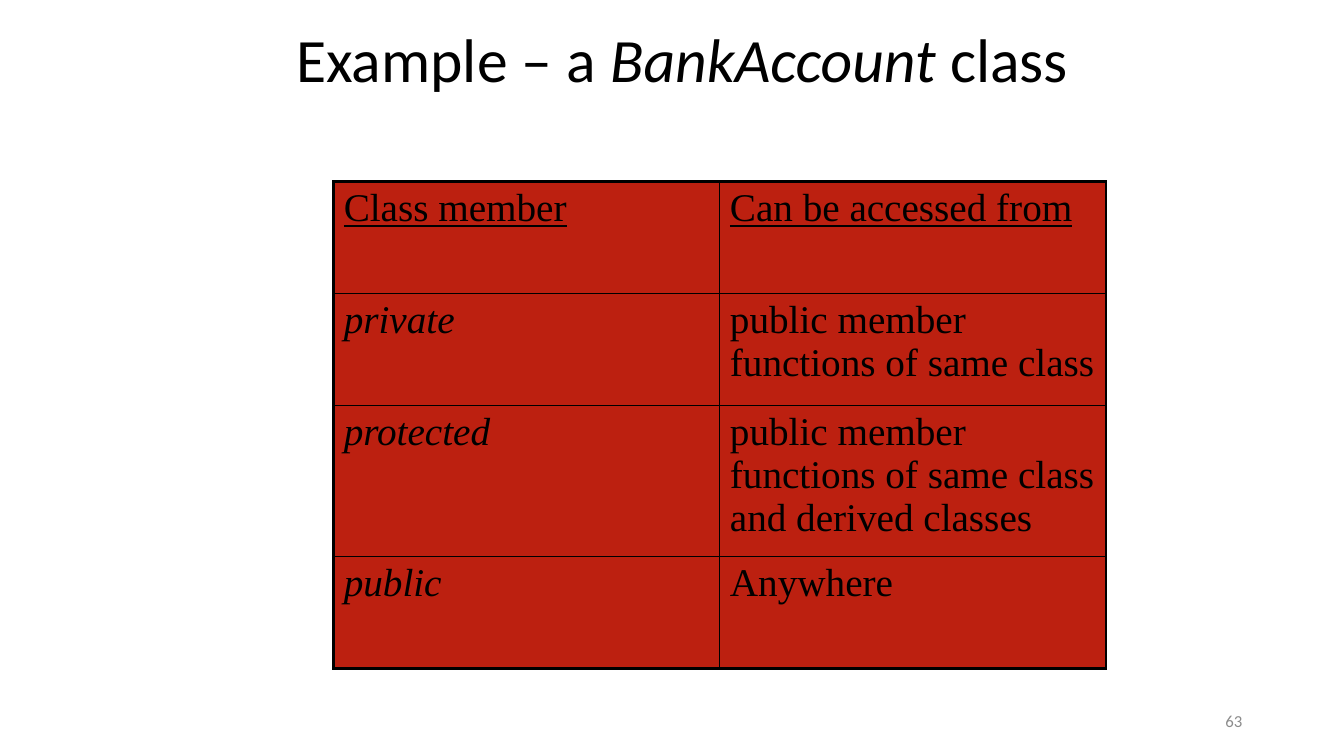
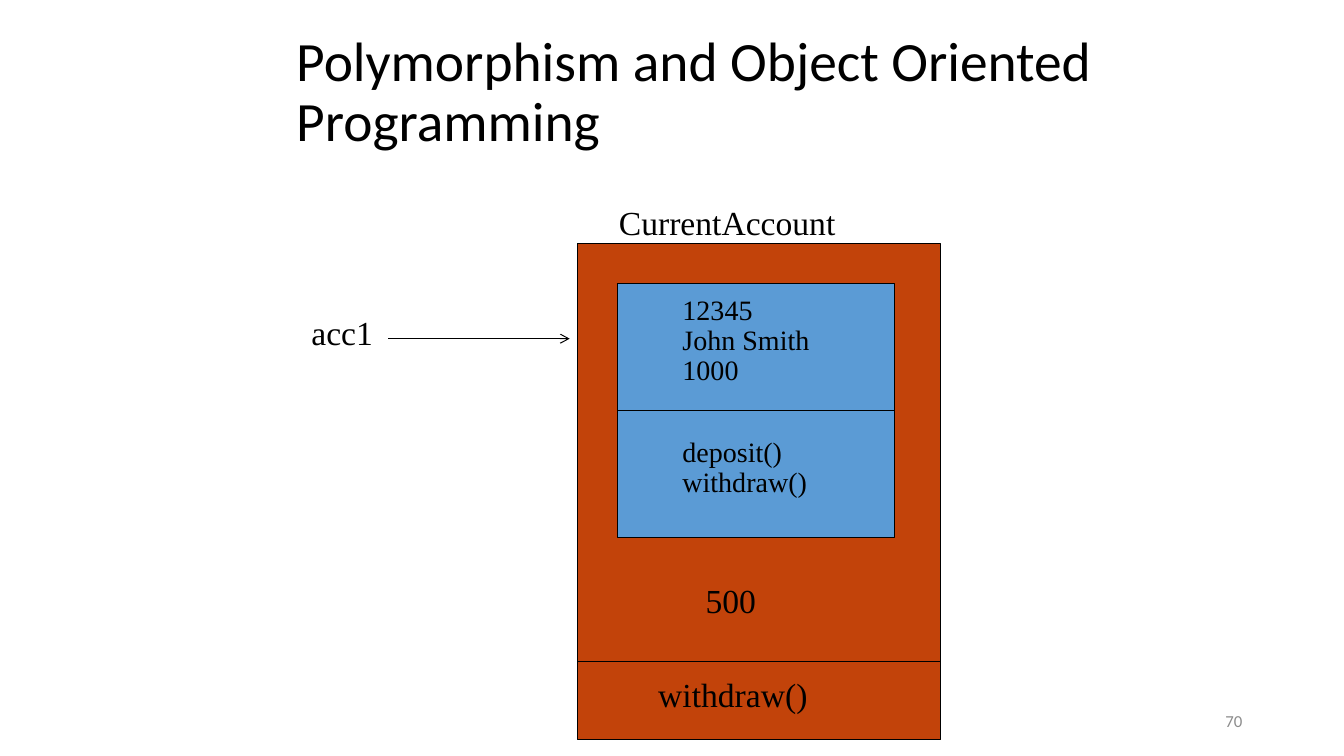
from dataclasses import dataclass

from pptx import Presentation
from pptx.dml.color import RGBColor
from pptx.enum.shapes import MSO_CONNECTOR, MSO_SHAPE
from pptx.enum.text import MSO_ANCHOR, PP_ALIGN
from pptx.oxml.ns import qn
from pptx.util import Inches, Pt
from lxml import etree

RECTANGLE = MSO_SHAPE.RECTANGLE
STRAIGHT = MSO_CONNECTOR.STRAIGHT
TOP, MIDDLE = MSO_ANCHOR.TOP, MSO_ANCHOR.MIDDLE
LEFT_ALIGN, RIGHT_ALIGN = PP_ALIGN.LEFT, PP_ALIGN.RIGHT
LEFT_SIDE, RIGHT_SIDE = 1, 3


@dataclass(frozen=True)
class Theme:
    heading_font: str = "Calibri"
    body_font: str = "Times New Roman"
    ink: str = "000000"
    muted: str = "8C8C8C"
    table_fill: str = "BC2010"
    derived_fill: str = "C2430A"
    base_fill: str = "5B9BD5"
    title_size: float = 44
    long_title_size: float = 39.6
    table_size: float = 28
    label_size: float = 24
    member_size: float = 20
    number_size: float = 12
    thin: float = 0.75
    inner_border: float = 1
    outer_border: float = 2.25


THEME = Theme()

# Runs are (text, style), where style is "", "italic" or "underline"
ACCESS_TITLE = [("Example – a ", ""), ("BankAccount", "italic"), (" class", "")]
ACCESS_ROWS = [
    # height, member, accessed from
    (1.11, ("Class member", "underline"), ("Can be accessed from", "underline")),
    (1.11, ("private", "italic"), ("public member functions of same class", "")),
    (1.39, ("protected", "italic"),
     ("public member functions of same class and derived classes", "")),
    (1.11, ("public", "italic"), ("Anywhere", "")),
]
ACCESS_LEFT, ACCESS_TOP, ACCESS_COLUMN = 3.31, 1.8, 3.83

OBJECT_TITLE = [("Polymorphism and Object Oriented Programming", "")]
DERIVED_BOX = (5.73, 2.42, 3.6, 4.92)
BASE_BOX = (6.12, 2.81, 2.75, 2.52)
DERIVED_DIVIDER = 6.56
OBJECT_LABELS = [
    ("acc1", (2.99, 3.05, 1.75, 0.5)),
    ("CurrentAccount", (6.04, 1.95, 2.92, 0.5)),
    ("500", (6.9, 5.7, 1.02, 0.5)),
    ("withdraw()", (6.43, 6.64, 3.5, 0.5)),
]
BASE_MEMBERS = [
    (["12345", "John Smith", "1000"], (6.67, 2.89, 1.95, 1.01)),
    (["deposit()", "withdraw()"], (6.67, 4.3, 1.95, 0.7)),
]
POINTER = ((3.85, 3.36), (5.65, 3.36))


def color(value):
    return RGBColor.from_string(value)


def add_run(paragraph, text, size, font=THEME.body_font, ink=THEME.ink, style=""):
    run = paragraph.add_run()
    run.text = text
    run.font.name = font
    run.font.size = Pt(size)
    run.font.color.rgb = color(ink)
    run.font.italic = style == "italic"
    run.font.underline = style == "underline"


def add_text(slide, box, lines, size, font=THEME.body_font, ink=THEME.ink,
             anchor=TOP, align=LEFT_ALIGN, spacing=None):
    """Add a text box; each line is a list of (text, style) runs."""
    frame = slide.shapes.add_textbox(*map(Inches, box)).text_frame
    frame.word_wrap = True
    frame.vertical_anchor = anchor
    for index, runs in enumerate(lines):
        paragraph = frame.add_paragraph() if index else frame.paragraphs[0]
        paragraph.alignment = align
        paragraph.line_spacing = spacing
        for text, style in runs:
            add_run(paragraph, text, size, font, ink, style)


def add_slide(presentation, title, title_size, title_height, number):
    """Add a blank slide with the shared title and page number."""
    slide = presentation.slides.add_slide(presentation.slide_layouts[6])
    add_text(slide, (2.84, 0, 8.5, title_height), [title], title_size,
             THEME.heading_font, anchor=MIDDLE, spacing=0.9)
    add_text(slide, (9.42, 6.95, 3, 0.4), [[(str(number), "")]], THEME.number_size,
             THEME.heading_font, THEME.muted, MIDDLE, RIGHT_ALIGN)
    return slide


def add_rectangle(slide, box, fill):
    shape = slide.shapes.add_shape(RECTANGLE, *map(Inches, box))
    shape.shadow.inherit = False
    shape.fill.solid()
    shape.fill.fore_color.rgb = color(fill)
    shape.line.color.rgb = color(THEME.ink)
    shape.line.width = Pt(THEME.thin)
    return shape


def add_line(slide, start, end, arrow=False):
    line = slide.shapes.add_connector(STRAIGHT, *map(Inches, start + end))
    line.line.color.rgb = color(THEME.ink)
    line.line.width = Pt(THEME.thin)
    properties = line._element.spPr
    if arrow:
        etree.SubElement(properties.find(qn("a:ln")), qn("a:tailEnd"), type="arrow")
    etree.SubElement(properties, qn("a:effectLst"))
    return line


def set_borders(cell, widths):
    """Draw the cell borders; widths are points for left, right, top, bottom."""
    properties = cell._tc.get_or_add_tcPr()
    for index, (side, width) in enumerate(zip("LRTB", widths)):
        border = etree.Element(qn(f"a:ln{side}"), w=str(Pt(width)))
        fill = etree.SubElement(border, qn("a:solidFill"))
        etree.SubElement(fill, qn("a:srgbClr"), val=THEME.ink)
        properties.insert(index, border)


def build_access_slide(presentation):
    slide = add_slide(presentation, ACCESS_TITLE, THEME.title_size, 1.25, 63)
    row_count, column_count = len(ACCESS_ROWS), 2
    height = sum(row[0] for row in ACCESS_ROWS)
    table = slide.shapes.add_table(
        row_count, column_count, Inches(ACCESS_LEFT), Inches(ACCESS_TOP),
        Inches(ACCESS_COLUMN * column_count), Inches(height)).table
    table.first_row = table.horz_banding = False
    for column in table.columns:
        column.width = Inches(ACCESS_COLUMN)
    for row, (row_height, *entries) in enumerate(ACCESS_ROWS):
        table.rows[row].height = Inches(row_height)
        for column, (text, style) in enumerate(entries):
            cell = table.cell(row, column)
            cell.fill.solid()
            cell.fill.fore_color.rgb = color(THEME.table_fill)
            on_edge = (column == 0, column == column_count - 1,
                       row == 0, row == row_count - 1)
            set_borders(cell, [THEME.outer_border if edge else THEME.inner_border
                               for edge in on_edge])
            add_run(cell.text_frame.paragraphs[0], text, THEME.table_size, style=style)


def build_object_slide(presentation):
    slide = add_slide(presentation, OBJECT_TITLE, THEME.long_title_size, 1.85, 70)
    add_rectangle(slide, DERIVED_BOX, THEME.derived_fill)
    base = add_rectangle(slide, BASE_BOX, THEME.base_fill)
    for text, box in OBJECT_LABELS:
        add_text(slide, box, [[(text, "")]], THEME.label_size)
    for members, box in BASE_MEMBERS:
        add_text(slide, box, [[(member, "")] for member in members],
                 THEME.member_size, spacing=0.9)

    add_line(slide, *POINTER, arrow=True)
    left, top, width, height = BASE_BOX
    middle = top + height / 2
    base_divider = add_line(slide, (left, middle), (left + width, middle))
    base_divider.begin_connect(base, LEFT_SIDE)
    base_divider.end_connect(base, RIGHT_SIDE)
    left, _, width, _ = DERIVED_BOX
    add_line(slide, (left, DERIVED_DIVIDER), (left + width, DERIVED_DIVIDER))


def main():
    presentation = Presentation()
    presentation.slide_width = Inches(13.33)
    presentation.slide_height = Inches(7.5)
    build_access_slide(presentation)
    build_object_slide(presentation)
    presentation.save("out.pptx")


if __name__ == "__main__":
    main()
